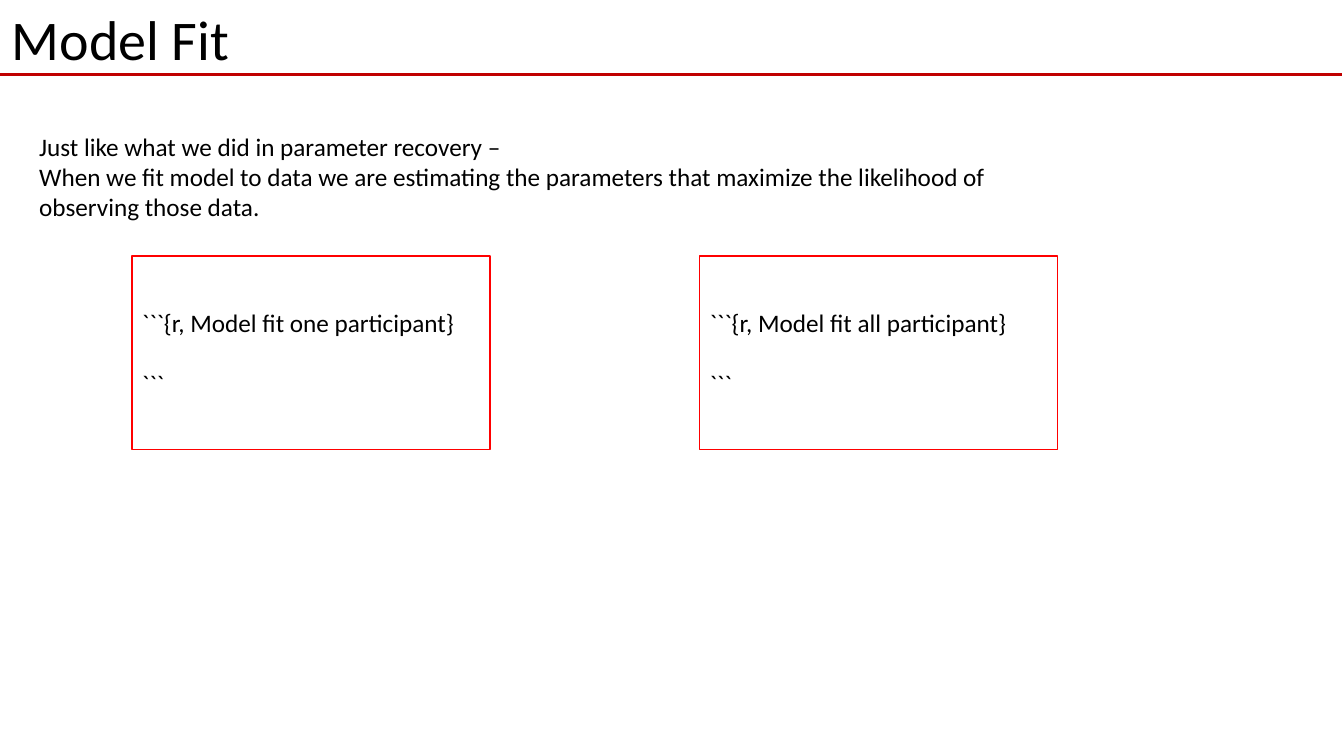
from lxml import etree
from pptx import Presentation
from pptx.dml.color import RGBColor
from pptx.enum.shapes import MSO_CONNECTOR, MSO_SHAPE
from pptx.enum.text import MSO_ANCHOR, PP_ALIGN
from pptx.oxml.ns import qn
from pptx.util import Inches, Pt

RECTANGLE = MSO_SHAPE.RECTANGLE
STRAIGHT = MSO_CONNECTOR.STRAIGHT
TOP, MIDDLE = MSO_ANCHOR.TOP, MSO_ANCHOR.MIDDLE
LEFT = PP_ALIGN.LEFT

TITLE = ["Model Fit"]
INTRO = [
    "Just like what we did in parameter recovery –",
    "When we fit model to data we are estimating the parameters that maximize the likelihood of",
    "observing those data.",
]
CHUNKS = [
    ["```{r, Model fit one participant}", "```"],
    ["```{r, Model fit all participant}", "```"],
]

FONT, BLACK, RULE_RED, BOX_RED = "Calibri", "000000", "C00000", "FF0000"
SLIDE_WIDTH, SLIDE_HEIGHT = 13.33, 7.5
RULE_Y, RULE_END = 0.74, 13.31
CHUNK_LEFT, CHUNK_TOP, CHUNK_PITCH = 1.31, 2.54, 5.63
CHUNK_WIDTH, CHUNK_HEIGHT = 3.55, 1.92
BLANK_LINE = 22


def color(value):
    return RGBColor.from_string(value)


def write(shape, lines, size=18, anchor=TOP, gap=0):
    """Fill a shape with one paragraph per line, gap points apart."""
    frame = shape.text_frame
    frame.word_wrap = True
    frame.vertical_anchor = anchor
    for index, line in enumerate(lines):
        para = frame.add_paragraph() if index else frame.paragraphs[0]
        para.alignment = LEFT
        if index and gap:
            para.space_before = Pt(gap)
        span = para.add_run()
        span.text = line
        span.font.name, span.font.size = FONT, Pt(size)
        span.font.color.rgb = color(BLACK)


def add_text(page, lines, left, top, width, height, **text_format):
    box = page.shapes.add_textbox(*map(Inches, (left, top, width, height)))
    write(box, lines, **text_format)


def add_rule(page):
    rule = page.shapes.add_connector(
        STRAIGHT, 0, Inches(RULE_Y), Inches(RULE_END), Inches(RULE_Y))
    rule.line.color.rgb = color(RULE_RED)
    rule.line.width = Pt(2.75)
    etree.SubElement(rule.element.spPr, qn("a:effectLst"))


def add_chunk(page, lines, column):
    left = CHUNK_LEFT + column * CHUNK_PITCH
    box = page.shapes.add_shape(
        RECTANGLE, *map(Inches, (left, CHUNK_TOP, CHUNK_WIDTH, CHUNK_HEIGHT)))
    box.shadow.inherit = False
    box.fill.background()
    box.line.color.rgb = color(BOX_RED)
    box.line.width = Pt(1)
    write(box, lines, anchor=MIDDLE, gap=BLANK_LINE)


def main():
    deck = Presentation()
    deck.slide_width, deck.slide_height = Inches(SLIDE_WIDTH), Inches(SLIDE_HEIGHT)
    page = deck.slides.add_slide(deck.slide_layouts[6])
    add_rule(page)
    add_text(page, TITLE, 0.02, 0, 8.7, 0.77, size=40)
    add_text(page, INTRO, 0.29, 1.25, 12.64, 1.01)
    for column, lines in enumerate(CHUNKS):
        add_chunk(page, lines, column)
    deck.save("out.pptx")


if __name__ == "__main__":
    main()
